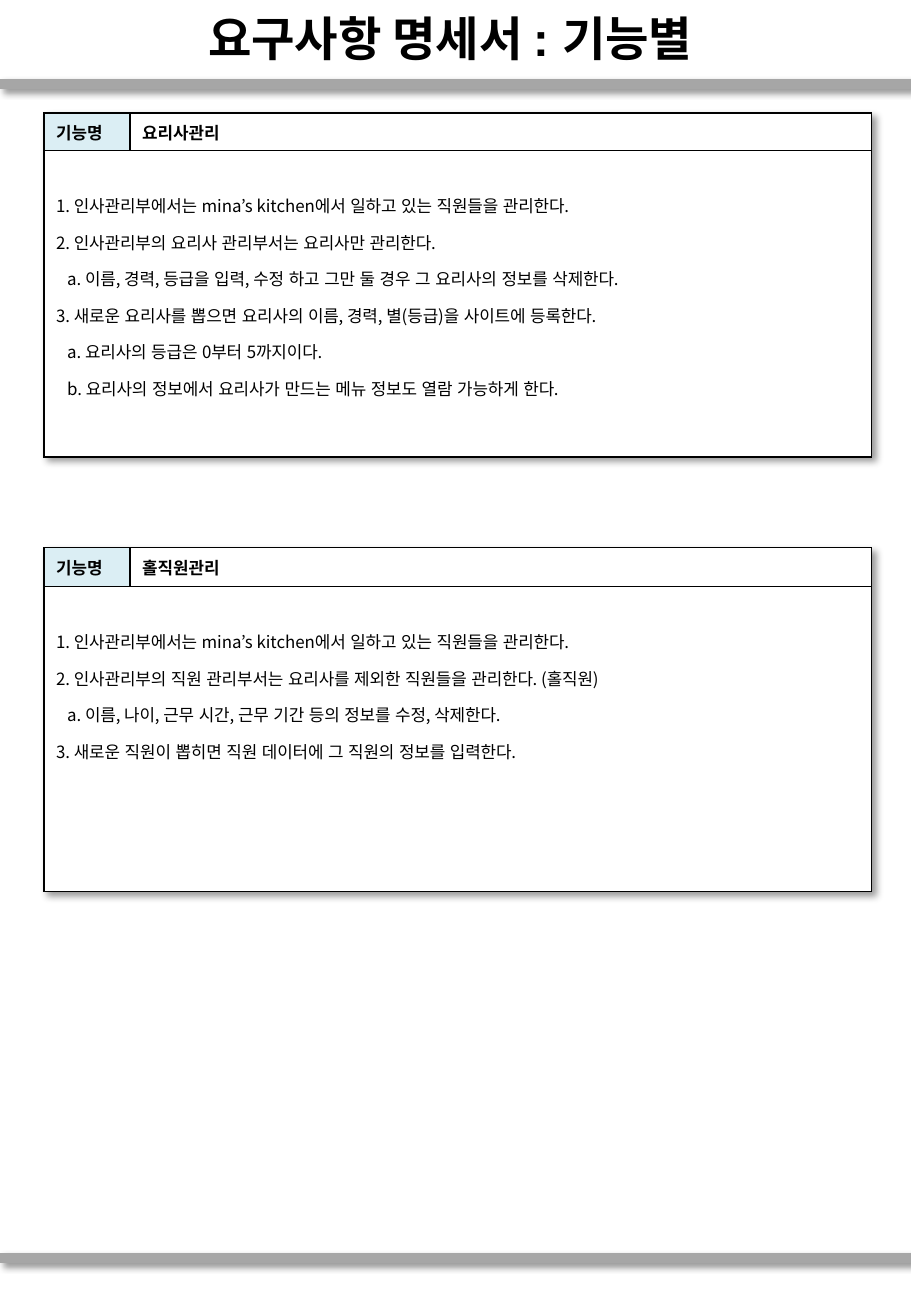
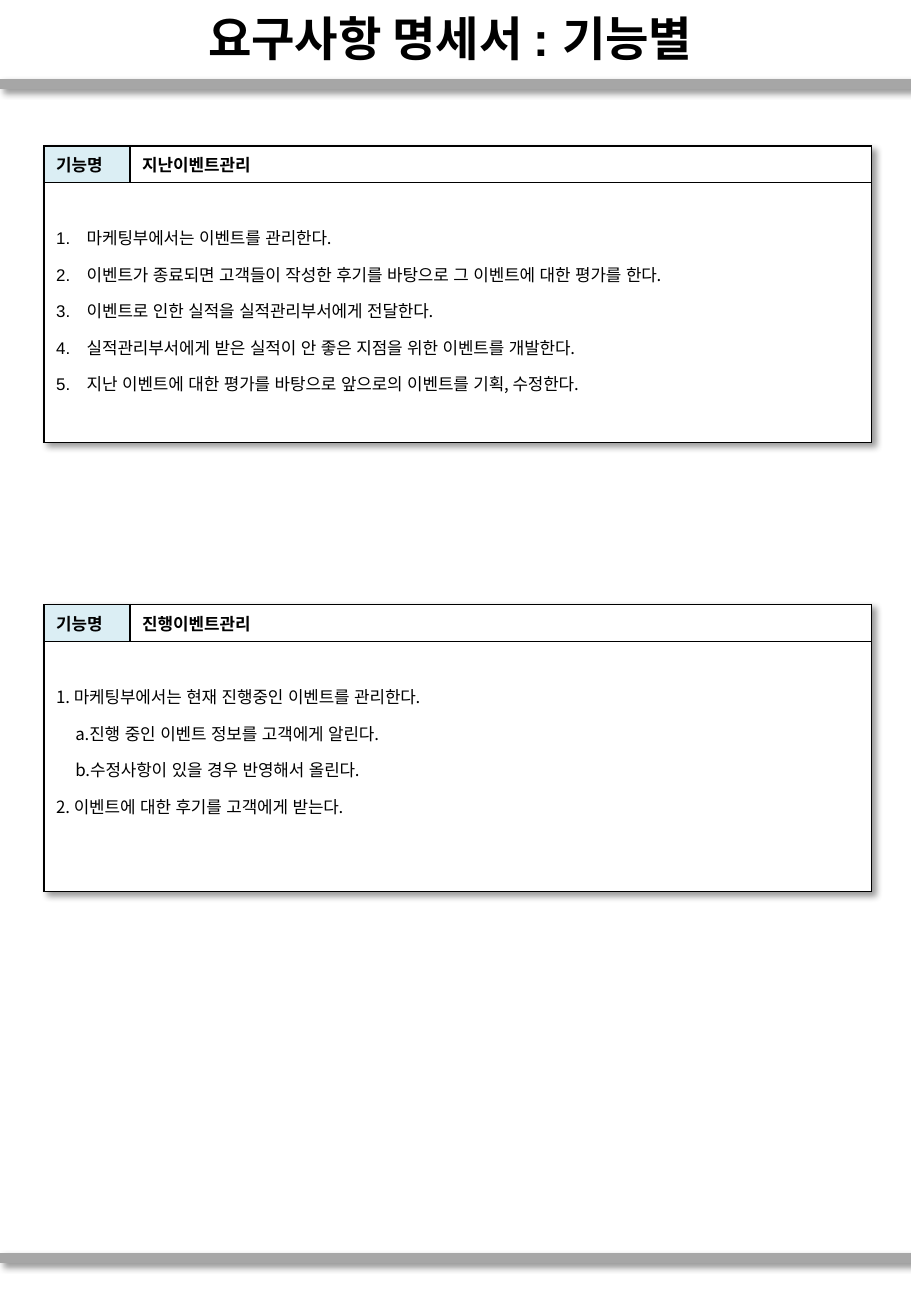
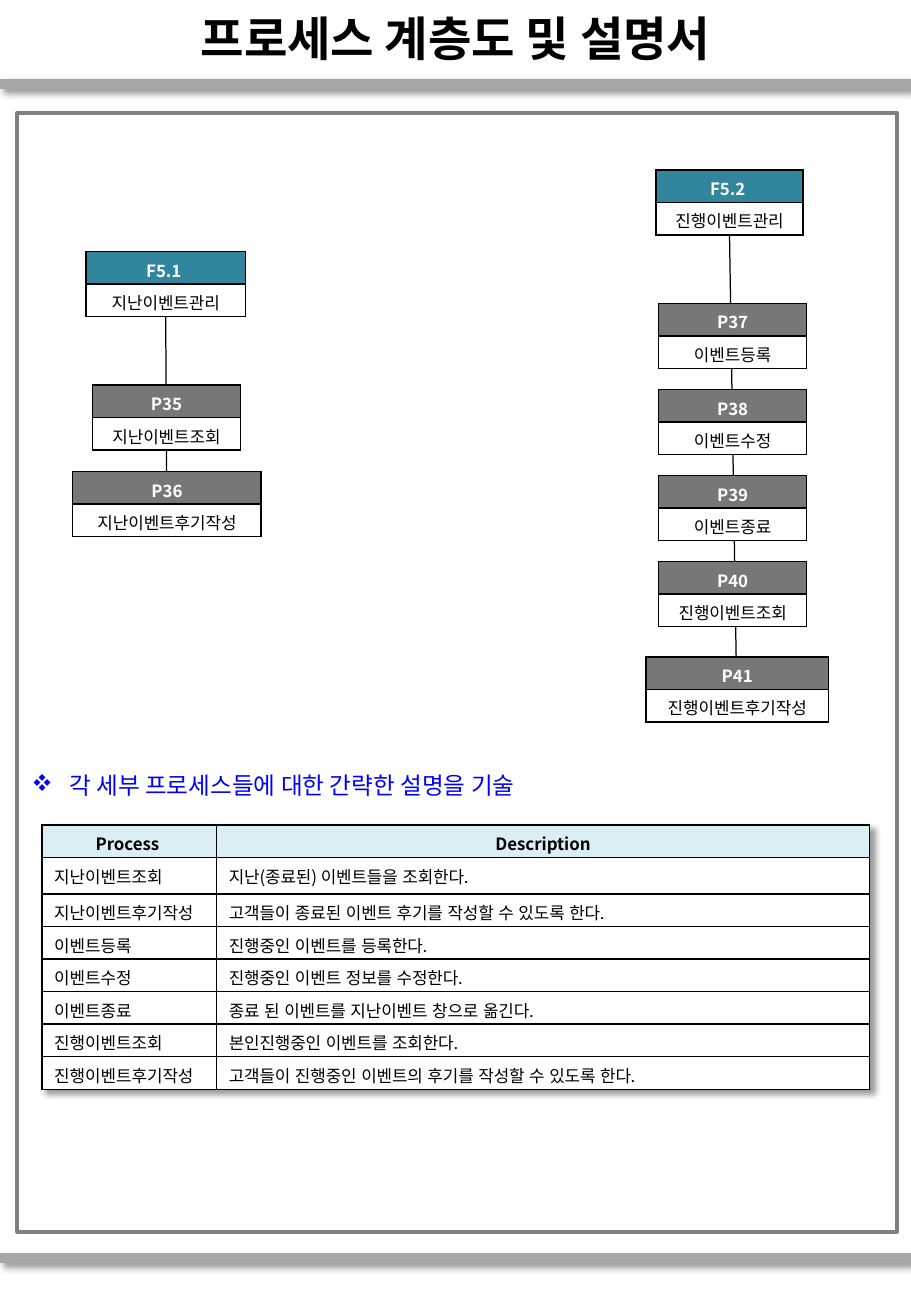
from lxml import etree
from pptx import Presentation
from pptx.dml.color import RGBColor
from pptx.enum.shapes import MSO_CONNECTOR, MSO_SHAPE
from pptx.enum.text import MSO_ANCHOR, PP_ALIGN
from pptx.oxml.ns import qn
from pptx.util import Cm, Pt

CENTER, LEFT = PP_ALIGN.CENTER, PP_ALIGN.LEFT
MIDDLE, TOP = MSO_ANCHOR.MIDDLE, MSO_ANCHOR.TOP
STRAIGHT, RECTANGLE = MSO_CONNECTOR.STRAIGHT, MSO_SHAPE.RECTANGLE

BLACK = RGBColor(0x00, 0x00, 0x00)
WHITE = RGBColor(0xFF, 0xFF, 0xFF)
BAND_GRAY = RGBColor(0xA6, 0xA6, 0xA6)
FRAME_GRAY = RGBColor(0x80, 0x80, 0x80)
PALE_BLUE = RGBColor(0xDB, 0xEE, 0xF4)
TEAL = RGBColor(0x31, 0x85, 0x9C)
NODE_GRAY = RGBColor(0x77, 0x77, 0x77)
NOTE_BLUE = RGBColor(0x00, 0x00, 0xFF)

KOREAN_FONT = "Noto Sans CJK KR"
TITLE_FONT = "Arial"
PAGE_WIDTH, PAGE_HEIGHT = 19.05, 27.51
BAND_TOPS = (1.75, 26.3)
TABLE_WIDTH = 17.3
ROW_HEIGHT = 0.68
SPEC_TITLE = "요구사항 명세서 : 기능별 "

COOKS = [
    "1. 인사관리부에서는 mina’s kitchen에서 일하고 있는 직원들을 관리한다.",
    "2. 인사관리부의 요리사 관리부서는 요리사만 관리한다.",
    "a. 이름, 경력, 등급을 입력, 수정 하고 그만 둘 경우 그 요리사의 정보를 삭제한다.",
    "3. 새로운 요리사를 뽑으면 요리사의 이름, 경력, 별(등급)을 사이트에 등록한다.",
    "a. 요리사의 등급은 0부터 5까지이다.",
    "b. 요리사의 정보에서 요리사가 만드는 메뉴 정보도 열람 가능하게 한다.",
]
HALL_STAFF = [
    "1. 인사관리부에서는 mina’s kitchen에서 일하고 있는 직원들을 관리한다.",
    "2. 인사관리부의 직원 관리부서는 요리사를 제외한 직원들을 관리한다. (홀직원)",
    "a. 이름, 나이, 근무 시간, 근무 기간 등의 정보를 수정, 삭제한다.",
    "3. 새로운 직원이 뽑히면 직원 데이터에 그 직원의 정보를 입력한다.",
]
PAST_EVENTS = [
    "마케팅부에서는 이벤트를 관리한다.",
    "이벤트가 종료되면 고객들이 작성한 후기를 바탕으로 그 이벤트에 대한 평가를 한다.",
    "이벤트로 인한 실적을 실적관리부서에게 전달한다.",
    "실적관리부서에게 받은 실적이 안 좋은 지점을 위한 이벤트를 개발한다.",
    "지난 이벤트에 대한 평가를 바탕으로 앞으로의 이벤트를 기획, 수정한다.",
]
CURRENT_EVENTS = [
    "1. 마케팅부에서는 현재 진행중인 이벤트를 관리한다.",
    "a.진행 중인 이벤트 정보를 고객에게 알린다.",
    "b.수정사항이 있을 경우 반영해서 올린다.",
    "2. 이벤트에 대한 후기를 고객에게 받는다.",
]
DESCRIPTIONS = [
    ("Process ", "Description"),
    ("지난이벤트조회", "지난(종료된) 이벤트들을 조회한다."),
    ("지난이벤트후기작성", "고객들이 종료된 이벤트 후기를 작성할 수 있도록 한다."),
    ("이벤트등록", "진행중인 이벤트를 등록한다."),
    ("이벤트수정", "진행중인 이벤트 정보를 수정한다."),
    ("이벤트종료", "종료 된 이벤트를 지난이벤트 창으로 옮긴다."),
    ("진행이벤트조회", "본인진행중인 이벤트를 조회한다."),
    ("진행이벤트후기작성", "고객들이 진행중인 이벤트의 후기를 작성할 수 있도록 한다."),
]
PAST_NODES = [
    ("F5.1 ", "지난이벤트관리", 0.28, 0, 3.33),
    ("P35", "지난이벤트조회", 0.41, 2.79, 3.1),
    ("P36", "지난이벤트후기작성", 0, 4.6, 3.94),
]
EVENT_STEPS = ["이벤트등록", "이벤트수정", "이벤트종료", "진행이벤트조회"]
CURRENT_NODES = [
    ("F5.2 ", "진행이벤트관리", 0.21, 0, 3.07),
    *[(f"P{37 + i}", name, 0.26, 2.79 + 1.8 * i, 3.1)
      for i, name in enumerate(EVENT_STEPS)],
    ("P41", "진행이벤트후기작성", 0, 10.18, 3.81),
]


def add_span(para, text, size=10, color=BLACK, bold=False, font=KOREAN_FONT):
    """Add one run; sentences take the wider word gaps of the title font."""
    span = para.add_run()
    span.text = text
    span.font.size = Pt(size)
    span.font.bold = bold
    span.font.color.rgb = color
    span.font.name = font
    korean = etree.SubElement(span._r.get_or_add_rPr(), qn("a:ea"))
    korean.set("typeface", TITLE_FONT if "다." in text else KOREAN_FONT)


def add_bullet(para, indent, tag, **attributes):
    """Give a paragraph a hanging indent and a bullet or number."""
    properties = para._p.get_or_add_pPr()
    properties.set("marL", str(Cm(indent)))
    properties.set("indent", str(-Cm(indent)))
    if tag == "a:buChar":
        etree.SubElement(properties, qn("a:buFont"), typeface="Wingdings", charset="2")
    bullet = etree.SubElement(properties, qn(tag))
    for name, value in attributes.items():
        bullet.set(name, value)


def make_shadow():
    """Return an effect list with the soft shadow the slides share."""
    effects = etree.Element(qn("a:effectLst"))
    shadow = etree.SubElement(effects, qn("a:outerShdw"), blurRad=str(Pt(4)),
                              dist=str(Pt(3)), dir="2700000", algn="tl", rotWithShape="0")
    color = etree.SubElement(shadow, qn("a:srgbClr"), val=str(BLACK))
    etree.SubElement(color, qn("a:alpha"), val="40000")
    return effects


def add_line(page, start, end, color, width, shadow=False):
    """Draw a straight line between two points."""
    line = page.shapes.add_connector(STRAIGHT, *map(Cm, start + end))
    line.line.color.rgb = color
    line.line.width = Pt(width)
    effects = make_shadow() if shadow else etree.Element(qn("a:effectLst"))
    line._element.spPr.append(effects)


def add_grid(page, left, top, widths, heights, shadow=False):
    """Add an unstyled table with the given column widths and row heights."""
    table = page.shapes.add_table(len(heights), len(widths), Cm(left), Cm(top),
                                  Cm(sum(widths)), Cm(sum(heights))).table
    table.first_row = table.horz_banding = False
    for column, width in zip(table.columns, widths):
        column.width = Cm(width)
    for row, height in zip(table.rows, heights):
        row.height = Cm(height)
    if shadow:
        table._tbl.tblPr.insert(0, make_shadow())
    return table


def format_cell(cell, fill=WHITE, anchor=TOP, top=0.13, bottom=0.03):
    """Set a cell's borders, fill, anchor and vertical margins."""
    properties = cell._tc.get_or_add_tcPr()
    for side in ("a:lnL", "a:lnR", "a:lnT", "a:lnB"):
        border = etree.SubElement(properties, qn(side), w=str(Pt(1)))
        color = etree.SubElement(border, qn("a:solidFill"))
        etree.SubElement(color, qn("a:srgbClr"), val=str(BLACK))
    cell.fill.solid()
    cell.fill.fore_color.rgb = fill
    cell.vertical_anchor = anchor
    cell.margin_top, cell.margin_bottom = Cm(top), Cm(bottom)


def fill_cell(cell, text, align=LEFT, color=BLACK, bold=False, **style):
    """Format a cell and write a single line in it."""
    format_cell(cell, **style)
    para = cell.text_frame.paragraphs[0]
    para.alignment = align
    add_span(para, text, color=color, bold=bold)


def add_page(deck, title, font=TITLE_FONT):
    """Add a slide with its title and the two gray bands."""
    page = deck.slides.add_slide(deck.slide_layouts[6])
    for top in BAND_TOPS:
        add_line(page, (0, top), (PAGE_WIDTH, top), BAND_GRAY, 6, shadow=True)
    box = page.shapes.add_textbox(Cm(0), Cm(0.03), Cm(PAGE_WIDTH), Cm(1.52))
    frame = box.text_frame
    frame.word_wrap = True
    frame.vertical_anchor = MIDDLE
    para = frame.paragraphs[0]
    para.alignment = CENTER
    add_span(para, title, size=28, bold=True, font=font)
    return page


def add_spec(page, top, heights, name, items, sub_indent=0.23, numbered=False):
    """Add a function specification: a name row above a list of requirements."""
    table = add_grid(page, 0.92, top, (1.8, TABLE_WIDTH - 1.8), heights, shadow=True)
    for column, (text, fill) in enumerate([("기능명", PALE_BLUE), (name, WHITE)]):
        fill_cell(table.cell(0, column), text, bold=True, fill=fill,
                  anchor=MIDDLE, bottom=0.13)
    body = table.cell(1, 0)
    body.merge(table.cell(1, 1))
    for column in range(2):
        format_cell(table.cell(1, column), top=0.64)
    frame = body.text_frame
    for i, text in enumerate(items):
        para = frame.add_paragraph() if i else frame.paragraphs[0]
        para.line_spacing = 1.5
        if numbered:
            add_bullet(para, 0.64, "a:buAutoNum", type="arabicPeriod")
        elif text[0] in "ab":
            para._p.get_or_add_pPr().set("marL", str(Cm(sub_indent)))
        add_span(para, text)


def add_process_chart(page, left, top, nodes):
    """Draw a column of process nodes joined by one line behind them."""
    first, last = nodes[0], nodes[-1]
    node_height = 2 * ROW_HEIGHT
    start = (left + first[2] + first[4] / 2, top + node_height)
    end = (left + last[2] + last[4] / 2, top + last[3] + node_height)
    add_line(page, start, end, BLACK, 0.75)
    for code, name, indent, offset, width in nodes:
        table = add_grid(page, left + indent, top + offset, (width,), (ROW_HEIGHT,) * 2)
        fill = TEAL if code.startswith("F") else NODE_GRAY
        fill_cell(table.cell(0, 0), code, CENTER, WHITE, True, fill=fill)
        fill_cell(table.cell(1, 0), name, CENTER)


def add_frame(page, left, top, width, height):
    """Draw the gray outline around the process page."""
    frame = page.shapes.add_shape(RECTANGLE, Cm(left), Cm(top), Cm(width), Cm(height))
    frame.shadow.inherit = False
    frame.fill.solid()
    frame.fill.fore_color.rgb = WHITE
    frame.line.color.rgb = FRAME_GRAY
    frame.line.width = Pt(2.25)


def add_note(page, left, top, width, height, text):
    """Add the blue bulleted heading."""
    box = page.shapes.add_textbox(Cm(left), Cm(top), Cm(width), Cm(height))
    box.text_frame.word_wrap = True
    para = box.text_frame.paragraphs[0]
    add_bullet(para, 0.79, "a:buChar", char="v")
    add_span(para, text, size=14, color=NOTE_BLUE)


def add_descriptions(page, left, top, rows):
    """Add the table of processes and their descriptions."""
    heights = [ROW_HEIGHT] * len(rows)
    heights[1] = 0.76
    table = add_grid(page, left, top, (3.65, TABLE_WIDTH - 3.65), heights, shadow=True)
    for i, row in enumerate(rows):
        header = i == 0
        for j, text in enumerate(row):
            fill_cell(table.cell(i, j), text, CENTER if header else LEFT,
                      bold=header, fill=PALE_BLUE if header else WHITE)


def main():
    """Build and save the deck."""
    deck = Presentation()
    deck.slide_width, deck.slide_height = Cm(PAGE_WIDTH), Cm(PAGE_HEIGHT)

    page = add_page(deck, SPEC_TITLE)
    add_spec(page, 2.36, (0.79, 6.4), "요리사관리", COOKS)
    add_spec(page, 11.45, (0.81, 6.38), "홀직원관리", HALL_STAFF)

    page = add_page(deck, SPEC_TITLE)
    add_spec(page, 3.05, (0.77, 5.43), "지난이벤트관리", PAST_EVENTS, numbered=True)
    add_spec(page, 12.64, (0.77, 5.23), "진행이벤트관리", CURRENT_EVENTS, sub_indent=0.4)

    page = add_page(deck, "프로세스 계층도 및 설명서", KOREAN_FONT)
    add_frame(page, 0.36, 2.36, 18.4, 23.39)
    add_note(page, 0.41, 16, 15.6, 0.86, "각 세부 프로세스들에 대한 간략한 설명을 기술")
    add_descriptions(page, 0.88, 17.25, DESCRIPTIONS)
    add_process_chart(page, 1.52, 5.26, PAST_NODES)
    add_process_chart(page, 13.51, 3.55, CURRENT_NODES)

    deck.save("out.pptx")


if __name__ == "__main__":
    main()
